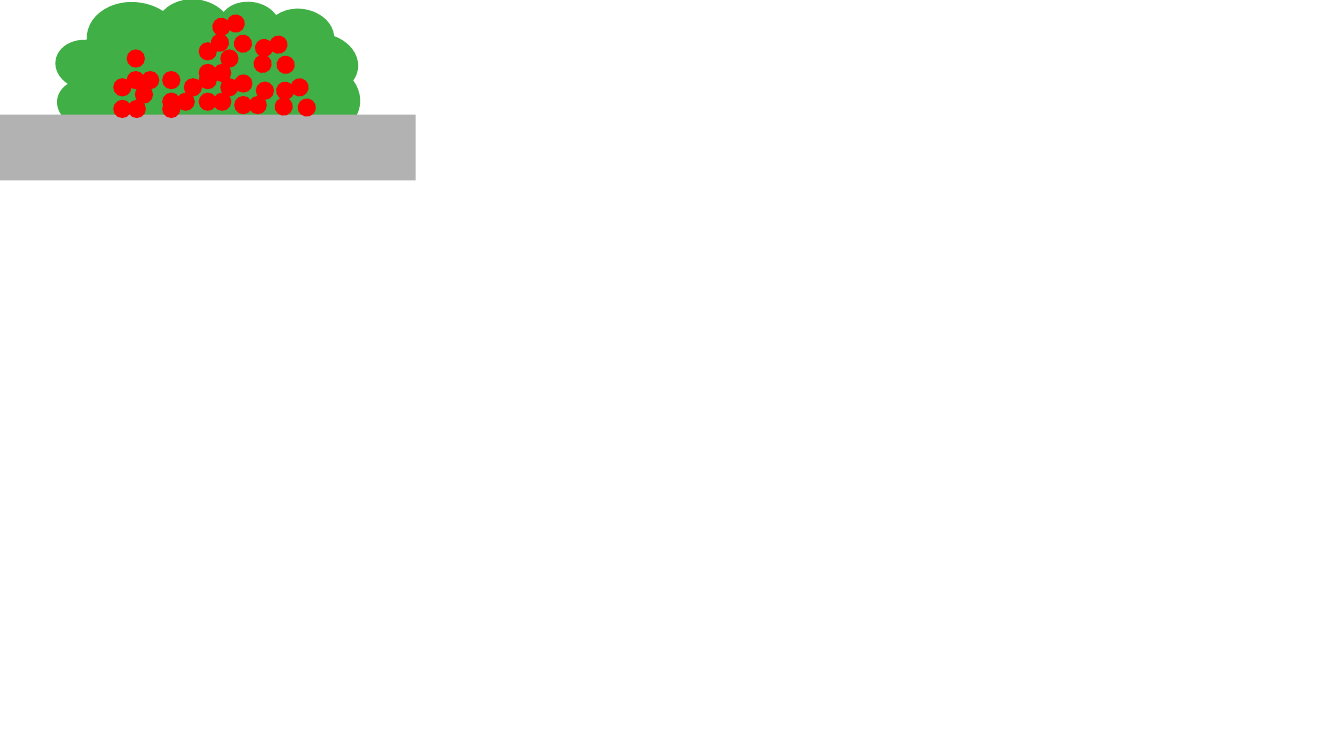
from dataclasses import dataclass

from pptx import Presentation
from pptx.dml.color import RGBColor
from pptx.enum.shapes import MSO_SHAPE
from pptx.util import Cm

CLOUD = MSO_SHAPE.CLOUD
RECTANGLE = MSO_SHAPE.RECTANGLE
OVAL = MSO_SHAPE.OVAL


@dataclass(frozen=True)
class Theme:
    leaf: RGBColor = RGBColor(0x3F, 0xAF, 0x46)
    wall: RGBColor = RGBColor(0xB2, 0xB2, 0xB2)
    berry: RGBColor = RGBColor(0xFF, 0x00, 0x00)


theme = Theme()

deck = Presentation()
deck.slide_width, deck.slide_height = Cm(28), Cm(15.75)
BLANK_LAYOUT = deck.slide_layouts[6]
page = deck.slides.add_slide(BLANK_LAYOUT)


def add_plain_shape(kind, left, top, width, height, color, rotation=0):
    """Add a filled shape without outline or shadow; lengths in centimetres."""
    shape = page.shapes.add_shape(kind, Cm(left), Cm(top), Cm(width), Cm(height))
    shape.rotation = rotation
    shape.shadow.inherit = False
    shape.fill.solid()
    shape.fill.fore_color.rgb = color
    shape.line.fill.background()


# Bush behind the wall
add_plain_shape(CLOUD, 1.12, -0.08, 6.4, 3.76, theme.leaf, rotation=7.8)
add_plain_shape(RECTANGLE, 0, 2.39, 8.66, 1.37, theme.wall)

# Berries grow in clusters of four: offsets from the first berry of each cluster
BERRY_SIZE = 0.38
UPRIGHT = [(0, 0), (0, -0.45), (0.3, 0), (0.45, -0.3)]
STRAY = UPRIGHT[:3] + [(0.74, 0.6)]
TILTED = [(0, 0), (0.15, 0.42), (-0.3, 0.07), (-0.33, 0.4)]

clusters = [
    (3.38, 1.93, UPRIGHT, 0),
    (4.14, 1.93, UPRIGHT, 0),
    (4.14, 1.33, UPRIGHT, 0),
    (2.64, 1.48, STRAY, 0),
    (2.36, 2.08, UPRIGHT, 0),
    (4.88, 2.0, UPRIGHT, 0),
    (4.72, 0.3, TILTED, 161),
    (5.61, 0.74, TILTED, 161),
    (6.05, 1.63, TILTED, 161),
]

for left, top, offsets, rotation in clusters:
    for right_by, down_by in offsets:
        add_plain_shape(OVAL, left + right_by, top + down_by,
                        BERRY_SIZE, BERRY_SIZE, theme.berry, rotation)

deck.save("out.pptx")
